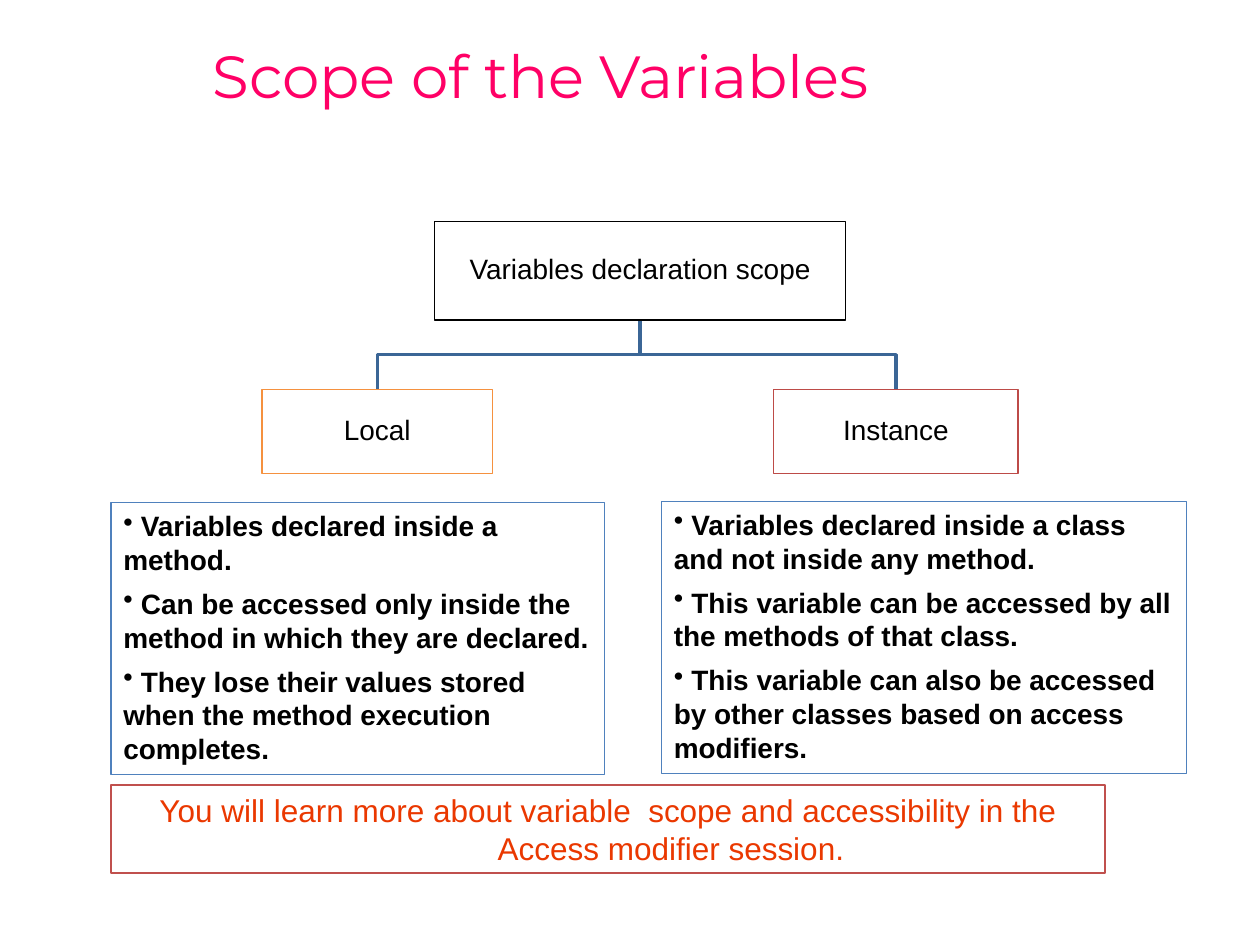
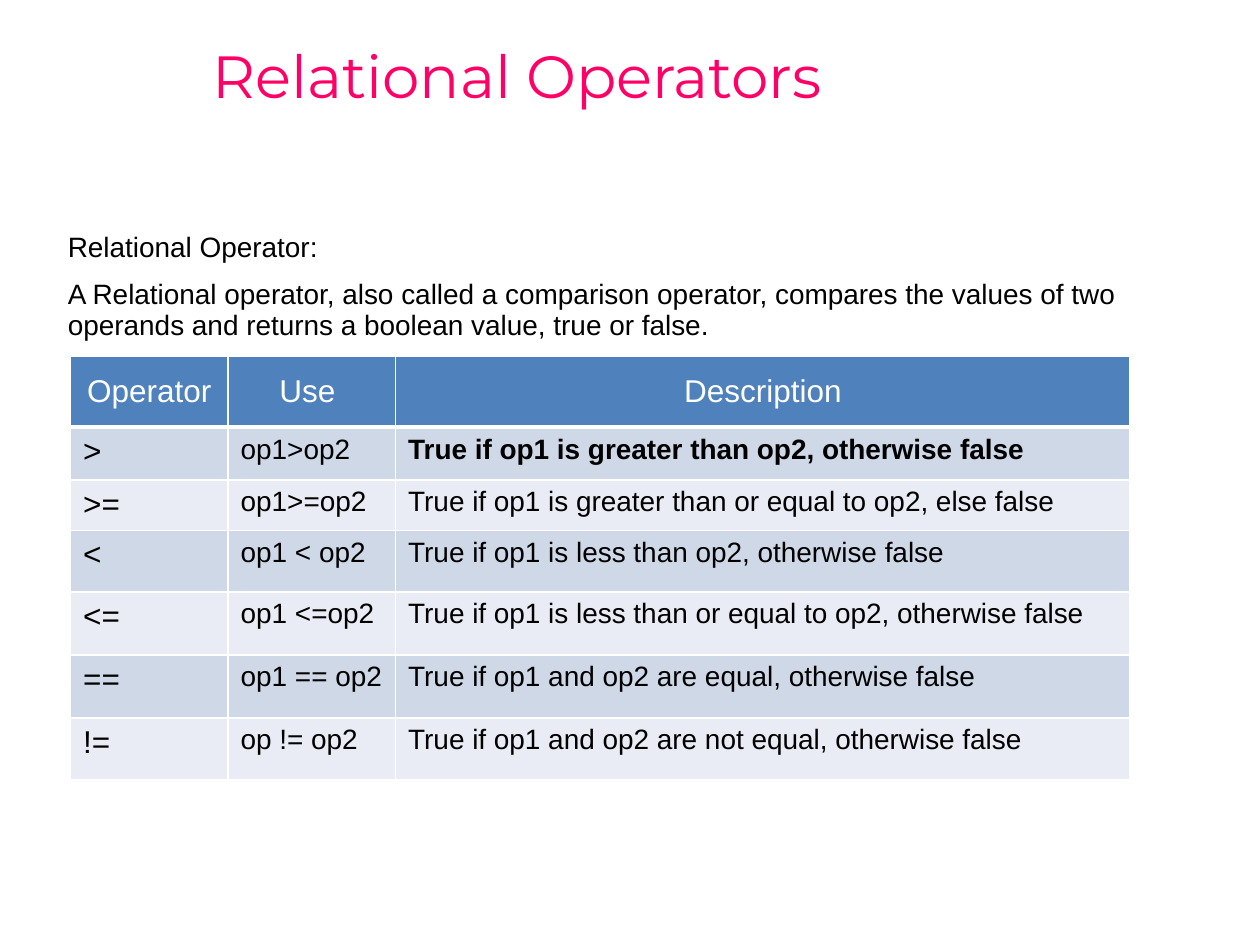
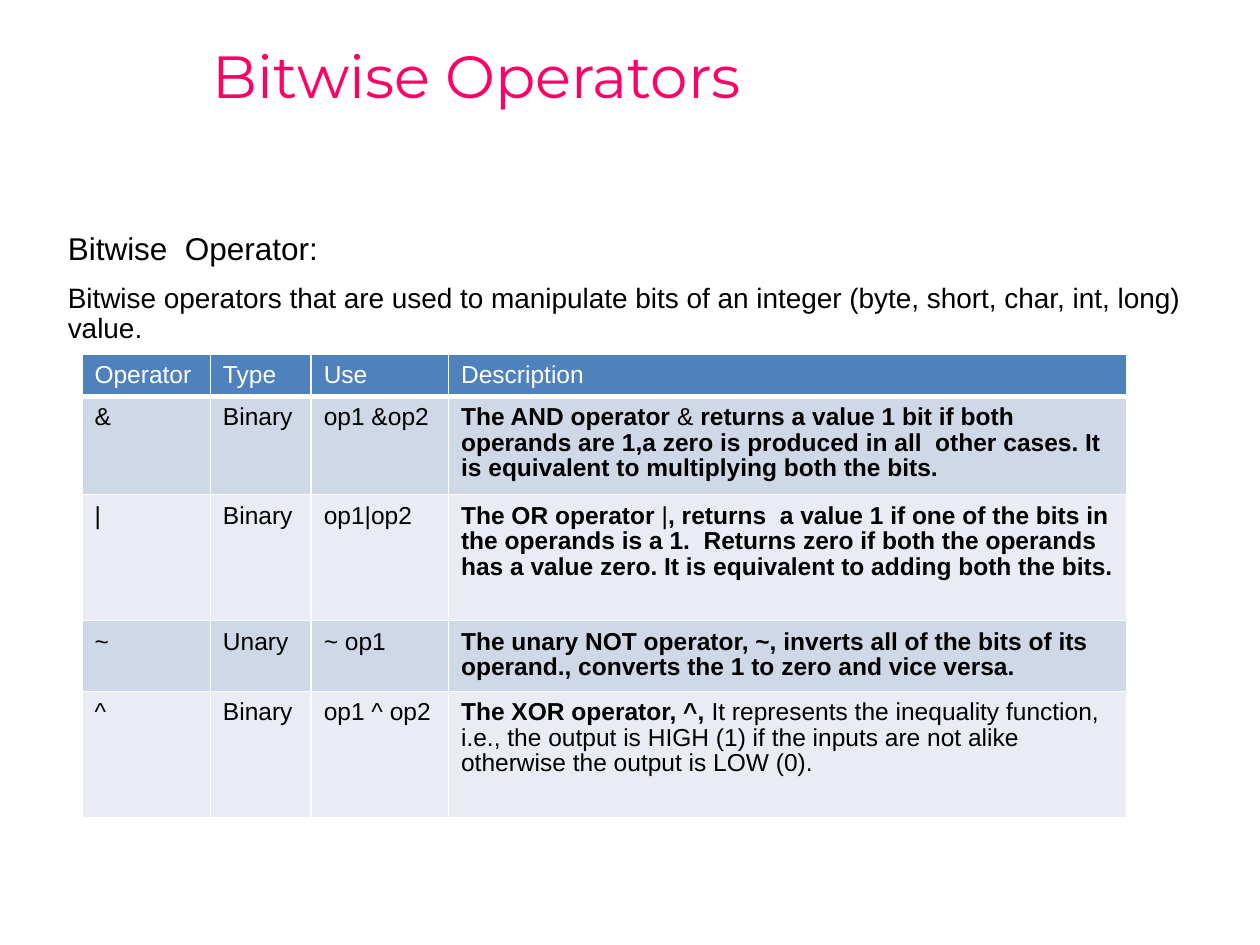
from dataclasses import dataclass

from lxml import etree
from pptx import Presentation
from pptx import util as u
from pptx.dml.color import RGBColor
from pptx.enum import shapes, text
from pptx.oxml import ns


@dataclass(frozen=True)
class Theme:
    title: str = "FF0066"
    ink: str = "000000"
    paper: str = "FFFFFF"
    note: str = "EA3800"
    branch: str = "3B6696"
    blue: str = "4F81BD"
    red: str = "C0504D"
    orange: str = "F5913F"
    dark_red: str = "BD4B48"
    bands: tuple = ("CFD8E7", "E9ECF4")
    title_font: str = "Montserrat"
    body_font: str = "Arial"
    title_size: int = 34
    large: int = 18
    body: int = 16
    small: int = 14
    hairline: float = 0.75
    branch_line: float = 2
    grid: float = 0.91
    header_rule: float = 2.95


T = Theme()
TITLE_BOX = (1.59, 0.01, 8.41, 1.24)
INTRO_BOX = (0.44, 1.8, 9.06, 4.8)

# Content: a paragraph is a string or a list of (text, bold) runs
SCOPE = {
    "title": "Scope of the Variables",
    "root": ("Variables declaration scope", (3.45, 1.76, 3.26, 0.78), T.ink),
    "children": [
        ("Local", (2.08, 3.09, 1.83, 0.67), T.orange),
        ("Instance", (6.14, 3.09, 1.94, 0.67), T.dark_red),
    ],
    "details": [
        ((0.88, 3.99, 3.92, 2.16), [
            " Variables declared inside a method.",
            " Can be accessed only inside the method in which they are declared.",
            " They lose their values stored when the method execution completes.",
        ]),
        ((5.25, 3.98, 4.17, 2.16), [
            " Variables declared inside a class and not inside any method.",
            " This variable can be accessed by all the methods of that class.",
            " This variable can also be accessed by other classes based on access modifiers.",
        ]),
    ],
    "note": ("You will learn more about variable  scope and accessibility in the "
             "Access modifier session.", (0.88, 6.23, 7.89, 0.7)),
}

RELATIONAL = {
    "title": "Relational Operators",
    "intro": [
        ("Relational Operator:", T.body),
        ("A Relational operator, also called a comparison operator, compares the values "
         "of two operands and returns a boolean value, true or false.", T.body),
    ],
    "at": (0.56, 2.83),
    "cols": [1.25, 1.33, 5.83],
    "heights": [0.56, 0.42, 0.4, 0.49, 0.5, 0.5, 0.49],
    "sizes": [T.large, T.body, T.body],
    "header_size": T.large,
    "header_centred": True,
    "rows": [
        ["Operator", "Use ", "Description"],
        [">", "op1>op2", [("True if op1 is greater than op2, otherwise false", True)]],
        [">=", "op1>=op2", "True if op1 is greater than or equal to op2, else false"],
        ["<", "op1 < op2", "True if op1 is less than op2, otherwise false"],
        ["<=", "op1 <=op2", "True if op1 is less than or equal to op2, otherwise false"],
        ["==", "op1 == op2", "True if op1 and op2 are equal, otherwise false"],
        ["!=", "op != op2", "True if op1 and op2 are not equal, otherwise false"],
    ],
}

BITWISE = {
    "title": "Bitwise Operators",
    "intro": [
        ("Bitwise  Operator:", T.large),
        ("Bitwise operators that are used to manipulate bits of an integer "
         "(byte, short, char, int, long) value.", T.body),
    ],
    "at": (0.65, 2.81),
    "cols": [1.02, 0.8, 1.09, 5.38],
    "heights": [0.33, 0.78, 1, 0.56, 1],
    "sizes": [T.small] * 4,
    "header_size": T.small,
    "header_centred": False,
    "rows": [
        ["Operator", "Type", "Use", "Description"],
        ["&", "Binary", "op1 &op2", [
            ("The AND operator ", True), ("&", False),
            (" returns a value 1 bit if both operands are 1,a zero is produced in all  "
             "other cases. It is equivalent to multiplying both the bits.", True)]],
        ["|", "Binary", "op1|op2", [
            ("The OR operator ", True), ("|", False),
            (", returns  a value 1 if one of the bits in the operands is a 1.  Returns zero "
             "if both the operands has a value zero. It is equivalent to adding both the "
             "bits.", True)]],
        ["~", "Unary", "~ op1", [
            ("The unary NOT operator, ~, inverts all of the bits of its operand., converts "
             "the 1 to zero and vice versa.", True)]],
        ["^", "Binary", "op1 ^ op2", [
            ("The XOR operator, ^, ", True),
            ("It represents the inequality function, i.e., the output is HIGH (1) if the "
             "inputs are not alike otherwise the output is LOW (0).", False)]],
    ],
}


def rgb(value):
    return RGBColor.from_string(value)


def inches(values):
    return [u.Inches(v) for v in values]


# Text
def fill_paragraph(p, content, size, color=T.ink, font=T.body_font, bold=False,
                   align=text.PP_ALIGN.LEFT, spacing=1.0):
    p.alignment = align
    p.line_spacing = spacing
    for words, heavy in [(content, bold)] if isinstance(content, str) else content:
        r = p.add_run()
        r.text = words
        r.font.name, r.font.size, r.font.bold = font, u.Pt(size), heavy
        r.font.color.rgb = rgb(color)


def paragraphs(tf, count, gap):
    for i in range(count):
        p = tf.add_paragraph() if i else tf.paragraphs[0]
        if i:
            p.space_before = u.Pt(gap)
        yield p


def add_text(s, box, anchor=text.MSO_ANCHOR.TOP):
    tf = s.shapes.add_textbox(*inches(box)).text_frame
    tf.word_wrap = True
    tf.vertical_anchor = anchor
    return tf


def add_title(s, title):
    tf = add_text(s, TITLE_BOX, text.MSO_ANCHOR.MIDDLE)
    fill_paragraph(tf.paragraphs[0], title, T.title_size, T.title, T.title_font, spacing=0.9)


# Outlined boxes and the branches between them
def add_box(s, box, line, anchor=text.MSO_ANCHOR.TOP):
    sp = s.shapes.add_shape(shapes.MSO_SHAPE.RECTANGLE, *inches(box))
    sp.shadow.inherit = False
    sp.fill.solid()
    sp.fill.fore_color.rgb = rgb(T.paper)
    sp.line.color.rgb = rgb(line)
    sp.line.width = u.Pt(T.hairline)
    tf = sp.text_frame
    tf.word_wrap = True
    tf.vertical_anchor = anchor
    return tf


def add_node(s, label, box, line):
    tf = add_box(s, box, line, text.MSO_ANCHOR.MIDDLE)
    fill_paragraph(tf.paragraphs[0], label, T.body, align=text.PP_ALIGN.CENTER, spacing=0.9)


def add_branch(s, parent, child):
    x0, y0 = parent[0] + parent[2] / 2, parent[1] + parent[3]
    x1, y1 = child[0] + child[2] / 2, child[1]
    mid = (y0 + y1) / 2
    fb = s.shapes.build_freeform(u.Inches(x0), u.Inches(y0))
    fb.add_line_segments([inches(pt) for pt in ((x0, mid), (x1, mid), (x1, y1))], close=False)
    sp = fb.convert_to_shape()
    sp.shadow.inherit = False
    sp.fill.background()
    sp.line.color.rgb = rgb(T.branch)
    sp.line.width = u.Pt(T.branch_line)


def add_bullets(s, box, items):
    tf = add_box(s, box, T.blue)
    for p, item in zip(paragraphs(tf, len(items), 6), items):
        etree.SubElement(p._p.get_or_add_pPr(), ns.qn("a:buChar")).set("char", "•")
        fill_paragraph(p, item, T.body, bold=True)


def add_note(s, note, box):
    p = add_box(s, box, T.red).paragraphs[0]
    fill_paragraph(p, note, T.large, T.note, align=text.PP_ALIGN.CENTER)
    pPr = p._p.get_or_add_pPr()
    pPr.set("marL", str(u.Inches(1)))
    pPr.set("indent", str(-u.Inches(1)))


# Tables
def set_borders(cell, **widths):
    tcPr = cell._tc.get_or_add_tcPr()
    for i, side in enumerate("LRTB"):
        ln = etree.Element(ns.qn(f"a:ln{side}"), w=str(u.Pt(widths.get(side, T.grid))))
        fill = etree.SubElement(ln, ns.qn("a:solidFill"))
        etree.SubElement(fill, ns.qn("a:srgbClr"), val=T.paper)
        tcPr.insert(i, ln)


def add_operator_table(s, data):
    rows, cols, heights = data["rows"], data["cols"], data["heights"]
    size = (sum(cols), sum(heights))
    tbl = s.shapes.add_table(len(rows), len(cols), *inches(data["at"] + size)).table
    for col, width in zip(tbl.columns, cols):
        col.width = u.Inches(width)
    for i, (row, height) in enumerate(zip(rows, heights)):
        tbl.rows[i].height = u.Inches(height)
        header = i == 0
        centred = header and data["header_centred"]
        for j, content in enumerate(row):
            cell = tbl.cell(i, j)
            cell.margin_top = u.Inches(0.07)
            cell.vertical_anchor = text.MSO_ANCHOR.MIDDLE if centred else text.MSO_ANCHOR.TOP
            cell.fill.solid()
            cell.fill.fore_color.rgb = rgb(T.blue if header else T.bands[(i - 1) % 2])
            rule = {0: {"B": T.header_rule}, 1: {"T": T.header_rule}}.get(i, {})
            set_borders(cell, **rule)
            fill_paragraph(cell.text_frame.paragraphs[0], content,
                           data["header_size"] if header else data["sizes"][j],
                           T.paper if header else T.ink,
                           align=text.PP_ALIGN.CENTER if centred else text.PP_ALIGN.LEFT,
                           spacing=0.93)


# Slides
def build_scope(s):
    add_title(s, SCOPE["title"])
    root = SCOPE["root"]
    for child in SCOPE["children"]:
        add_branch(s, root[1], child[1])
    for node in [root] + SCOPE["children"]:
        add_node(s, *node)
    for box, items in SCOPE["details"]:
        add_bullets(s, box, items)
    add_note(s, *SCOPE["note"])


def build_operators(s, data):
    add_title(s, data["title"])
    tf = add_text(s, INTRO_BOX)
    intro = data["intro"]
    for p, (words, size) in zip(paragraphs(tf, len(intro), 10), intro):
        fill_paragraph(p, words, size, spacing=0.9)
    add_operator_table(s, data)


def main():
    prs = Presentation()
    prs.slide_width, prs.slide_height = u.Inches(10), u.Inches(7.5)
    blank = prs.slide_layouts[6]
    build_scope(prs.slides.add_slide(blank))
    for data in (RELATIONAL, BITWISE):
        build_operators(prs.slides.add_slide(blank), data)
    prs.save("out.pptx")


if __name__ == "__main__":
    main()
